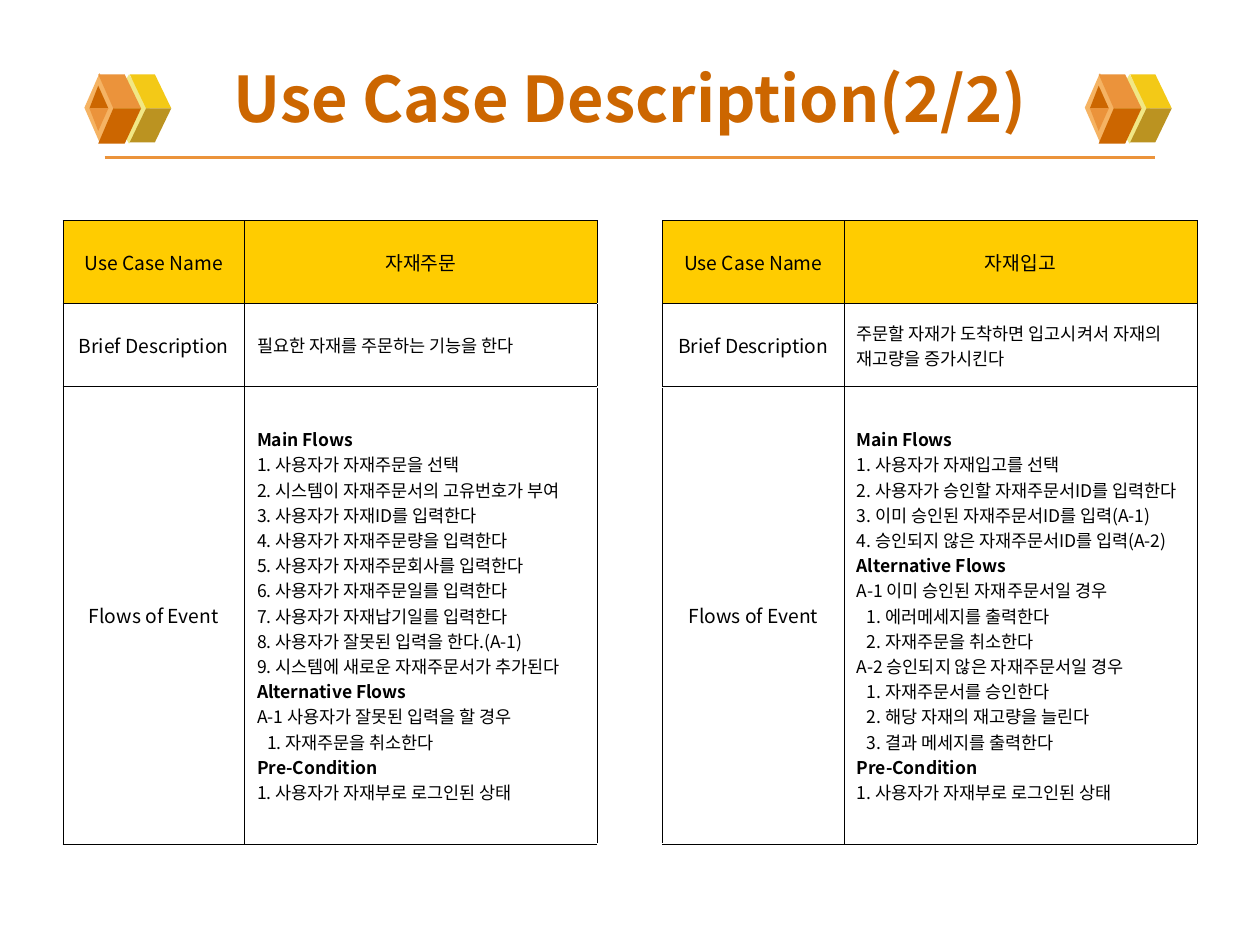
"""Build the second use case description slide: ordering and receiving materials."""
from lxml import etree
from pptx import Presentation
from pptx.dml.color import RGBColor
from pptx.enum import shapes, text
from pptx.oxml import ns
from pptx.util import Inches, Pt

FONT = "Noto Sans CJK KR"
HEADINGS = ("Main Flows", "Alternative Flows", "Pre-Condition")


def rgb(value):
    return RGBColor.from_string(value)


def write(paragraph, words, size, color="000000", bold=False, align=text.PP_ALIGN.LEFT):
    paragraph.alignment = align
    run = paragraph.add_run()
    run.text = words
    for name, value in {"size": Pt(size), "bold": bold, "name": FONT}.items():
        setattr(run.font, name, value)
    run.font.color.rgb = rgb(color)
    etree.SubElement(run.font._element, ns.qn("a:ea"), typeface=FONT)


deck = Presentation()
deck.slide_width, deck.slide_height = Inches(10), Inches(7.5)
slide = deck.slides.add_slide(deck.slide_layouts[5])
backdrop = slide.background.fill
backdrop.gradient()
backdrop.gradient_angle = 270
for stop, tint in zip(backdrop.gradient_stops, ("FFFFFF", "FEFEFE")):
    stop.color.rgb = rgb(tint)

rule = slide.shapes.add_connector(
    shapes.MSO_CONNECTOR.STRAIGHT, Inches(0.83), Inches(1.25), Inches(9.17), Inches(1.25))
rule.line.color.rgb = rgb("EB933B")
rule.line.width = Pt(2.25)
etree.SubElement(rule._element.spPr, ns.qn("a:effectLst"))

diamonds = [("F1E785", 0.86, 0.59, 0.33), ("F5B363", 0.67, 0.58, 0.24)]
facets = [
    [("F3C917", [(116, 86), (136, 86), (123, 59), (103, 59)]),
     ("BB9321", [(116, 86), (136, 86), (123, 113), (103, 113)])],
    [("EB933B", [(90, 86), (112, 86), (99, 59), (78, 59)]),
     ("CC6600", [(90, 86), (112, 86), (99, 114), (78, 114)]),
     ("CC6600", [(78, 68), (71, 86), (86, 86)]),
     ("EB933B", [(78, 104), (71, 86), (86, 86)])],
]
for shift in (0, 794):
    for (tint, left, top, width), faces in zip(diamonds, facets):
        pieces = [(tint, slide.shapes.add_shape(
            shapes.MSO_SHAPE.DIAMOND, Inches(left + shift / 100), Inches(top),
            Inches(width), Inches(0.55)))]
        for face_tint, corners in faces:
            points = [(x + shift, y) for x, y in corners]
            outline = slide.shapes.build_freeform(*points[0], scale=Inches(0.01))
            outline.add_line_segments(points[1:])
            pieces.append((face_tint, outline.convert_to_shape()))
        for piece_tint, piece in pieces:
            piece.shadow.inherit = False
            piece.fill.solid()
            piece.fill.fore_color.rgb = rgb(piece_tint)
            piece.line.fill.background()

title = slide.shapes.title
title_box = {"left": 0.5, "top": 0.3, "width": 9, "height": 0.95}
for name, value in title_box.items():
    setattr(title, name, Inches(value))
title.text_frame.vertical_anchor = text.MSO_ANCHOR.MIDDLE
write(title.text_frame.paragraphs[0], "Use Case Description(2/2)", 36, "CC6600", True,
      text.PP_ALIGN.CENTER)

labels = ["Use Case Name", "Brief Description", "Flows of Event"]
order = ["자재주문", "필요한 자재를 주문하는 기능을 한다", """Main Flows
1. 사용자가 자재주문을 선택
2. 시스템이 자재주문서의 고유번호가 부여
3. 사용자가 자재ID를 입력한다
4. 사용자가 자재주문량을 입력한다
5. 사용자가 자재주문회사를 입력한다
6. 사용자가 자재주문일를 입력한다
7. 사용자가 자재납기일를 입력한다
8. 사용자가 잘못된 입력을 한다.(A-1)
9. 시스템에 새로운 자재주문서가 추가된다
Alternative Flows
A-1 사용자가 잘못된 입력을 할 경우
 1. 자재주문을 취소한다
Pre-Condition
1. 사용자가 자재부로 로그인된 상태"""]
receipt = ["자재입고", "주문할 자재가 도착하면 입고시켜서 자재의 재고량을 증가시킨다", """Main Flows
1. 사용자가 자재입고를 선택
2. 사용자가 승인할 자재주문서ID를 입력한다
3. 이미 승인된 자재주문서ID를 입력(A-1)
4. 승인되지 않은 자재주문서ID를 입력(A-2)
Alternative Flows
A-1 이미 승인된 자재주문서일 경우
 1. 에러메세지를 출력한다
 2. 자재주문을 취소한다
A-2 승인되지 않은 자재주문서일 경우
 1. 자재주문서를 승인한다
 2. 해당 자재의 재고량을 늘린다
 3. 결과 메세지를 출력한다
Pre-Condition
1. 사용자가 자재부로 로그인된 상태"""]

use_cases = slide.shapes.add_table(
    3, 5, Inches(0.5), Inches(1.75), Inches(9), Inches(4.95)).table
use_cases.first_row = use_cases.horz_banding = False
for column, width in zip(use_cases.columns, (1.44, 2.8, 0.52, 1.44, 2.8)):
    column.width = Inches(width)
for row, height in zip(use_cases.rows, (0.66, 0.66, 3.63)):
    row.height = Inches(height)

for c, entries in enumerate((labels, order, None, labels, receipt)):
    for r in range(3):
        cell = use_cases.cell(r, c)
        for side in ("lnL", "lnR", "lnT", "lnB") if entries else ("lnL", "lnR"):
            border = etree.SubElement(
                cell._tc.get_or_add_tcPr(), ns.qn(f"a:{side}"), w=str(Pt(0.45)))
            ink = etree.SubElement(border, ns.qn("a:solidFill"))
            etree.SubElement(ink, ns.qn("a:srgbClr"), val="000000")
        if not entries:
            cell.fill.background()
            continue
        cell.fill.solid()
        cell.fill.fore_color.rgb = rgb("FFFFFF" if r else "FFCC00")
        cell.vertical_anchor = text.MSO_ANCHOR.MIDDLE
        centred = r == 0 or entries is labels
        for i, entry in enumerate(entries[r].split("\n")):
            frame = cell.text_frame
            paragraph = frame.add_paragraph() if i else frame.paragraphs[0]
            if entry.startswith(" "):
                paragraph._p.get_or_add_pPr().set("marL", str(Inches(0.08)))
            write(paragraph, entry.strip(), 11 if centred else 10, bold=entry in HEADINGS,
                  align=text.PP_ALIGN.CENTER if centred else text.PP_ALIGN.LEFT)

deck.save("out.pptx")
